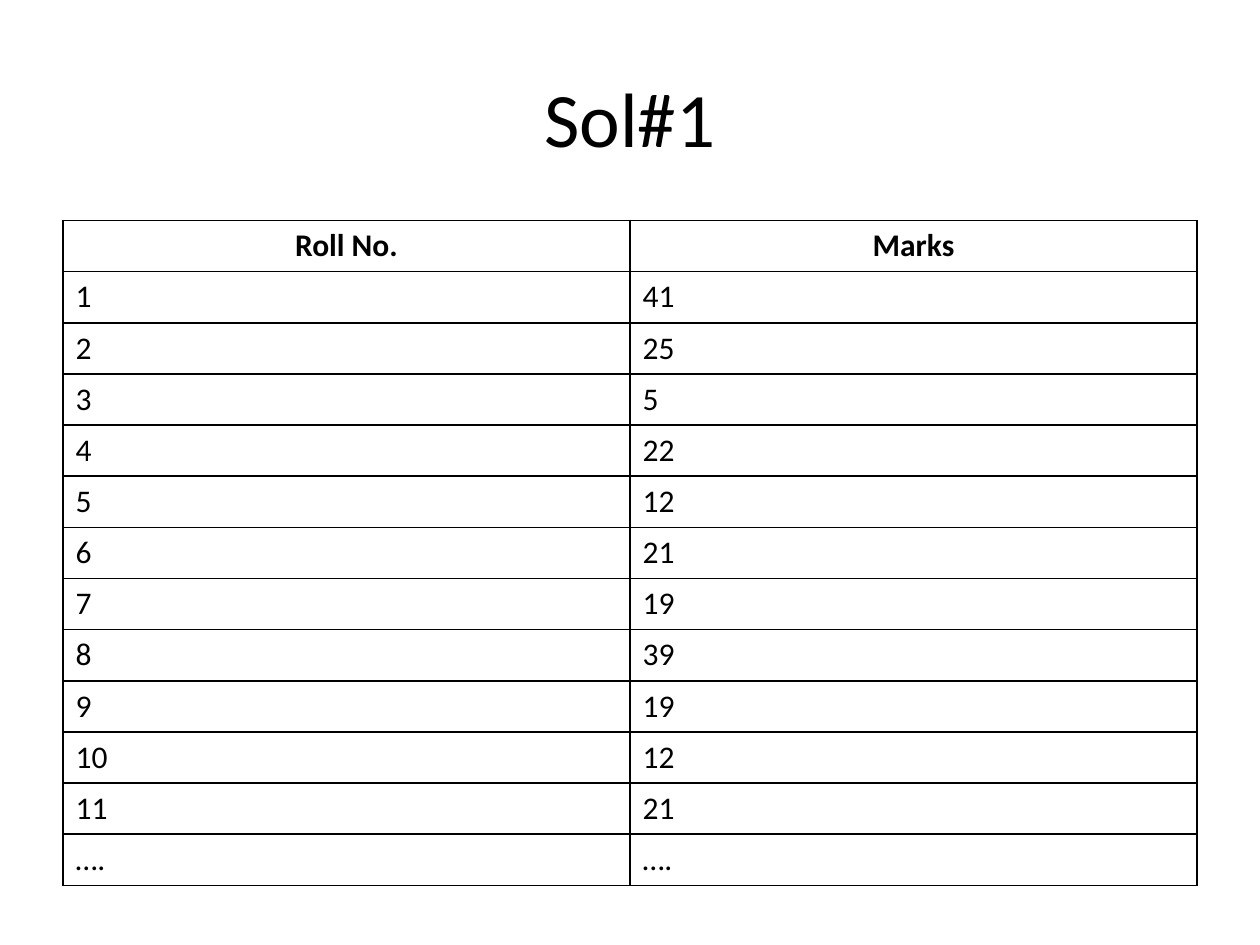
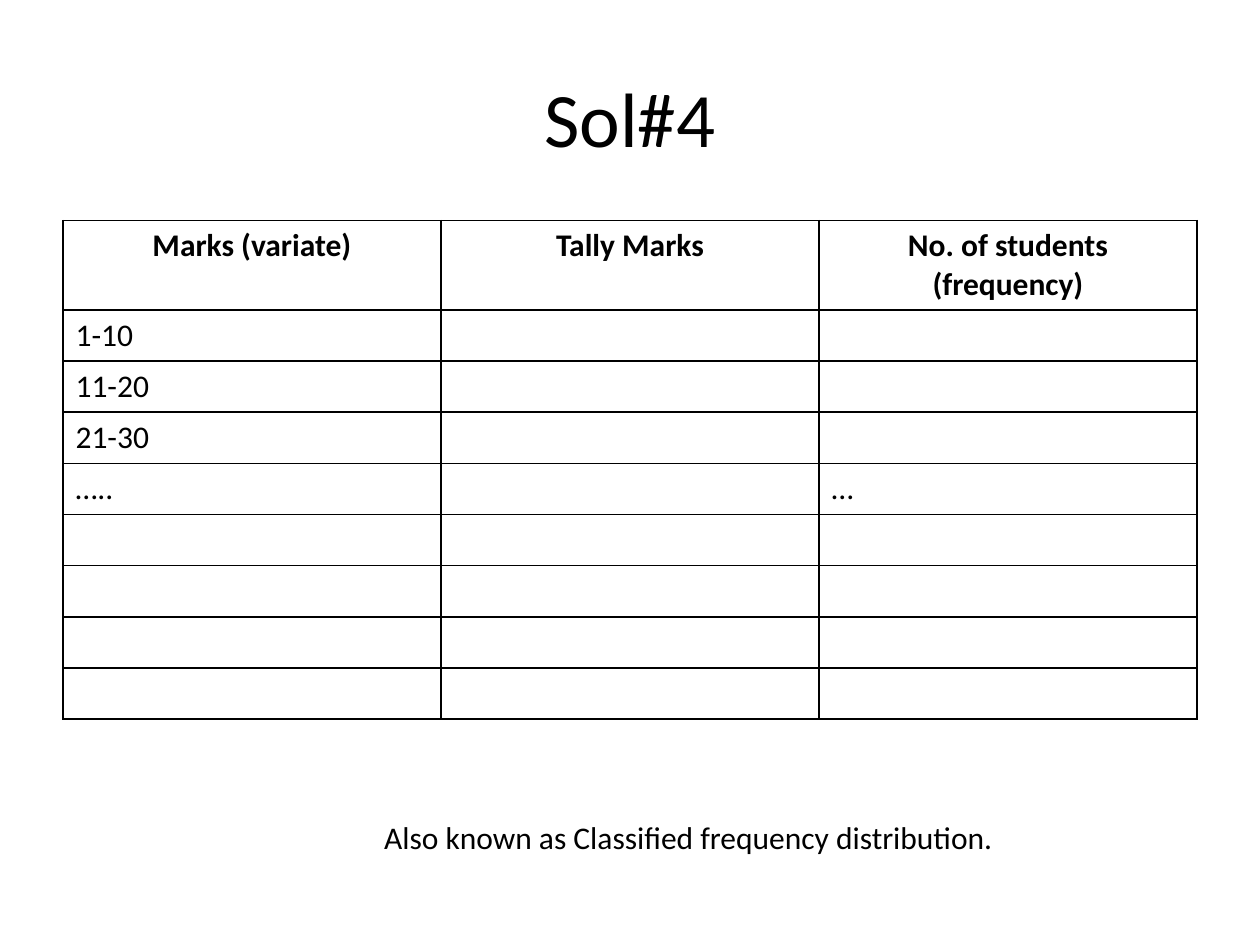
"""Build two slides of statistics solutions, each with a title and a ruled table."""
from dataclasses import dataclass

from lxml.etree import SubElement
from pptx import Presentation
from pptx.dml.color import RGBColor
from pptx.enum.text import MSO_ANCHOR, PP_ALIGN
from pptx.oxml.ns import qn
from pptx.util import Inches, Pt


@dataclass(frozen=True)
class Theme:
    font: str = "Calibri"
    ink: str = "000000"
    title_size: int = 44
    body_size: int = 18
    border_width: int = 1
    left: float = 0.5
    width: float = 9
    title_top: float = 0.3
    title_height: float = 1.25
    table_top: float = 1.75
    row_height: float = 5.28 / 13


class Deck:
    def __init__(self, theme):
        self.theme = theme
        self.presentation = Presentation()
        self.presentation.slide_width = Inches(10)
        self.presentation.slide_height = Inches(7.5)
        self.slide = None

    def add_slide(self, title):
        theme = self.theme
        self.slide = self.presentation.slides.add_slide(self.presentation.slide_layouts[6])
        self.add_text(title, theme.left, theme.title_top, theme.width, theme.title_height,
                      theme.title_size, PP_ALIGN.CENTER, MSO_ANCHOR.MIDDLE)

    def style_paragraph(self, paragraph, size, alignment, bold=False):
        paragraph.alignment = alignment
        paragraph.font.name = self.theme.font
        paragraph.font.size = Pt(size)
        paragraph.font.bold = bold
        paragraph.font.color.rgb = RGBColor.from_string(self.theme.ink)

    def add_text(self, text, left, top, width, height, size,
                 alignment=PP_ALIGN.LEFT, anchor=MSO_ANCHOR.TOP):
        shape = self.slide.shapes.add_textbox(
            Inches(left), Inches(top), Inches(width), Inches(height))
        frame = shape.text_frame
        frame.word_wrap = True
        frame.vertical_anchor = anchor
        frame.text = text
        self.style_paragraph(frame.paragraphs[0], size, alignment)

    def add_borders(self, cell):
        properties = cell._tc.get_or_add_tcPr()
        for side in ("a:lnL", "a:lnR", "a:lnT", "a:lnB"):
            line = SubElement(properties, qn(side), w=str(Pt(self.theme.border_width)))
            fill = SubElement(line, qn("a:solidFill"))
            SubElement(fill, qn("a:srgbClr"), val=self.theme.ink)

    def add_table(self, rows, header_height):
        theme = self.theme
        heights = [header_height] + [theme.row_height] * (len(rows) - 1)
        table = self.slide.shapes.add_table(
            len(rows), len(rows[0]), Inches(theme.left), Inches(theme.table_top),
            Inches(theme.width), Inches(sum(heights))).table
        table.horz_banding = False
        table.first_row = False
        for row_index, (values, height) in enumerate(zip(rows, heights)):
            table.rows[row_index].height = Inches(height)
            is_header = row_index == 0
            alignment = PP_ALIGN.CENTER if is_header else PP_ALIGN.LEFT
            for column_index, value in enumerate(values):
                cell = table.cell(row_index, column_index)
                cell.text = value
                self.style_paragraph(cell.text_frame.paragraphs[0], theme.body_size,
                                     alignment, is_header)
                self.add_borders(cell)
                cell.fill.background()


def build():
    theme = Theme()
    deck = Deck(theme)

    deck.add_slide("Sol#1")
    marks = [41, 25, 5, 22, 12, 21, 19, 39, 19, 12, 21]
    students = [(str(roll), str(mark)) for roll, mark in enumerate(marks, 1)]
    deck.add_table([("Roll No.", "Marks"), *students, ("….", "….")], theme.row_height)

    deck.add_slide("Sol#4")
    classes = [(interval, "", "") for interval in ("1-10", "11-20", "21-30")]
    empty_rows = [("", "", "")] * 4
    deck.add_table([("Marks (variate)", "Tally Marks", "No. of students (frequency)"),
                    *classes, ("…..", "", "…"), *empty_rows], 0.71)
    deck.add_text("Also known as Classified frequency distribution.",
                  2.95, 6.44, 5.09, 0.71, theme.body_size)

    deck.presentation.save("out.pptx")


build()
